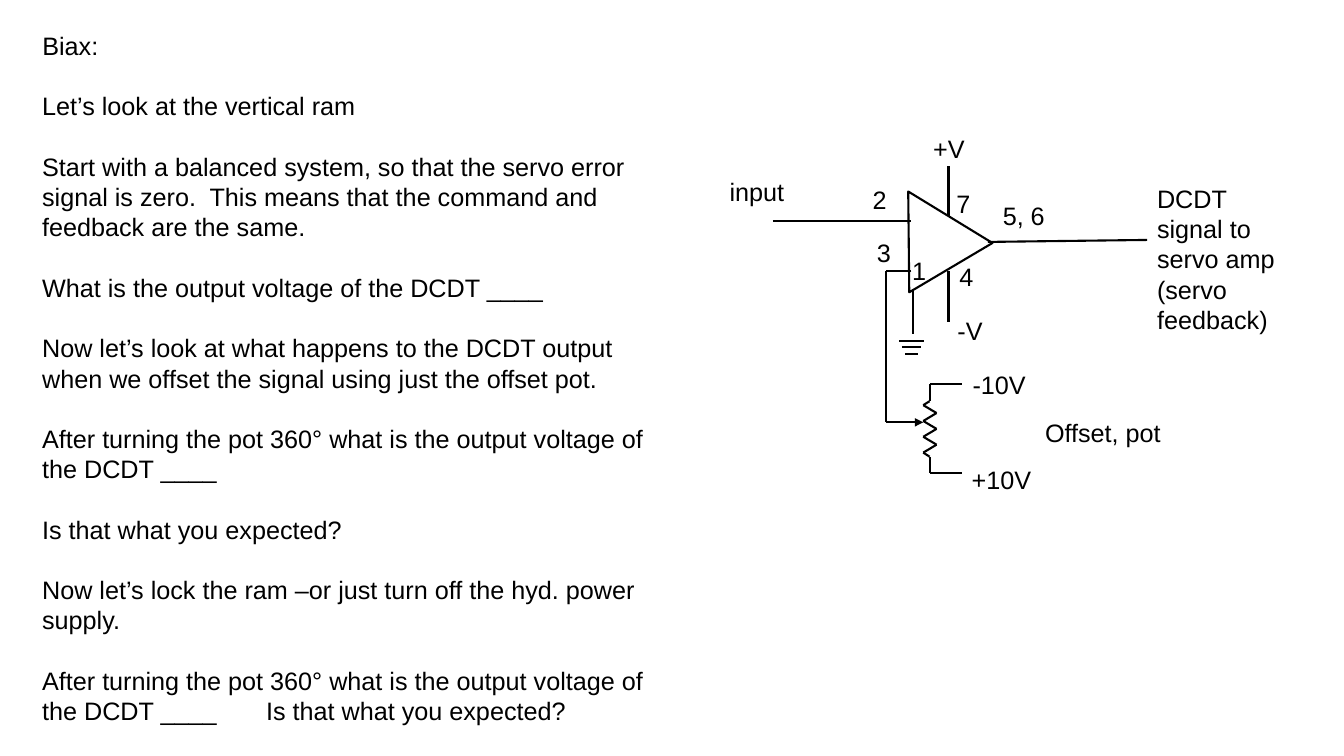
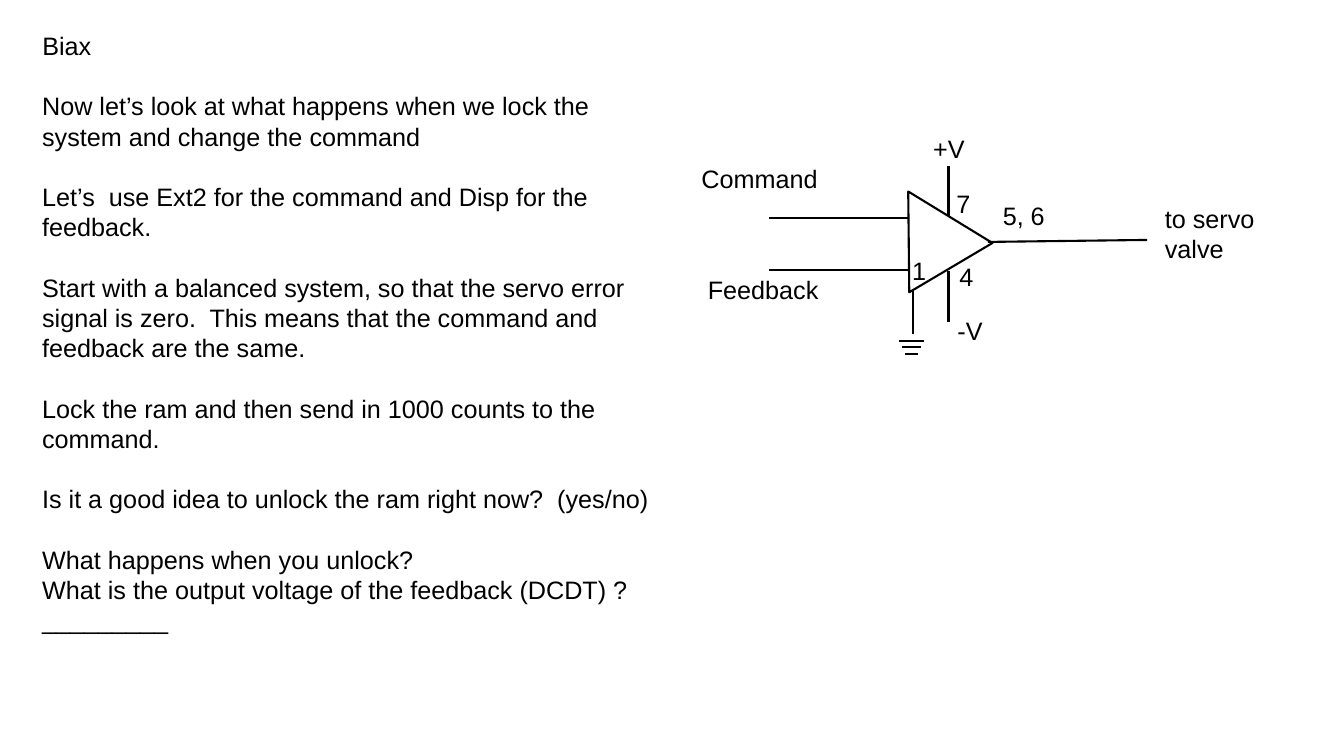
from itertools import pairwise

from lxml.etree import SubElement
from pptx import Presentation
from pptx.dml.color import RGBColor
from pptx.enum.shapes import MSO_CONNECTOR as LINE, MSO_SHAPE as SHAPE
from pptx.enum.text import MSO_ANCHOR as ANCHOR, MSO_AUTO_SIZE as FIT, PP_ALIGN as ALIGN
from pptx.oxml.ns import qn
from pptx.util import Pt

INK, PAPER = "000000", "FFFFFF"
FONT, TEXT_SIZE, STROKE = "Arial", 18, 1.5
LINE_PITCH = 21.6
NOTES_BOX = (23, 18, 450)  # left, top, width

BALANCED = ("Start with a balanced system, so that the servo error signal is zero.  "
            "This means that the command and feedback are the same.")
AFTER_TURN = "After turning the pot 360° what is the output voltage of the DCDT ____"
EXPECTED = "Is that what you expected?"

# Each inner list is a group of paragraphs; groups stand one line apart
OFFSET_STEPS = [
    ["Let’s look at the vertical ram"],
    [BALANCED],
    ["What is the output voltage of the DCDT ____"],
    ["Now let’s look at what happens to the DCDT output when we offset the signal "
     "using just the offset pot."],
    [AFTER_TURN],
    [EXPECTED],
    ["Now let’s lock the ram –or just turn off the hyd. power supply."],
    [f"{AFTER_TURN}\t{EXPECTED}"],
]
COMMAND_STEPS = [
    ["Now let’s look at what happens when we lock the system and change the command"],
    ["Let’s  use Ext2 for the command and Disp for the feedback."],
    [BALANCED],
    ["Lock the ram and then send in 1000 counts to the command."],
    ["Is it a good idea to unlock the ram right now?  (yes/no)"],
    ["What happens when you unlock?",
     "What is the output voltage of the feedback (DCDT) ? _________"],
]


def color(hex_code):
    return RGBColor.from_string(hex_code)


def write(paragraph, text):
    run = paragraph.add_run()
    run.text = text
    run.font.name, run.font.size = FONT, Pt(TEXT_SIZE)
    run.font.color.rgb = color(INK)


def label(slide, x, y, width, *lines, height=27):
    frame = slide.shapes.add_textbox(Pt(x), Pt(y), Pt(width), Pt(height)).text_frame
    frame.word_wrap = True
    for i, line in enumerate(lines):
        write(frame.add_paragraph() if i else frame.paragraphs[0], line)
    return frame


def wire(slide, *points, arrow=False):
    """Draw straight segments through the points; the last may end in an arrowhead."""
    for (x1, y1), (x2, y2) in pairwise(points):
        segment = slide.shapes.add_connector(LINE.STRAIGHT, Pt(x1), Pt(y1), Pt(x2), Pt(y2))
        segment.line.color.rgb, segment.line.width = color(INK), Pt(STROKE)
        SubElement(segment._element.spPr, qn("a:effectLst"))
    if arrow:
        SubElement(segment.line._get_or_add_ln(), qn("a:tailEnd"), type="triangle")


def notes(slide, box, heading, groups):
    left, top, width = box
    # Heading
    title = slide.shapes.title
    title.left, title.top, title.width, title.height = Pt(left), Pt(top), Pt(width), Pt(29)
    frame = title.text_frame
    frame.auto_size, frame.vertical_anchor = FIT.NONE, ANCHOR.TOP
    frame.paragraphs[0].alignment = ALIGN.LEFT
    write(frame.paragraphs[0], heading)

    # Steps
    lines = [line for group in groups for line in group]
    steps = label(slide, left, top + 2 * LINE_PITCH, width, *lines, height=470)
    starts = {group[0] for group in groups[1:]}
    for paragraph, line in zip(steps.paragraphs, lines):
        if line in starts:
            paragraph.space_before = Pt(LINE_PITCH)
        if "\t" in line:
            stops = SubElement(paragraph._p.get_or_add_pPr(), qn("a:tabLst"))
            SubElement(stops, qn("a:tab"), pos=str(Pt(160)), algn="l")


def amplifier(slide, left, top):
    # Supply leads, ground lead and output
    supply, ground = left + 37.5, left + 12.3
    wire(slide, (supply, top + 28.8), (supply, top + 65.5))
    wire(slide, (supply, top + 103.7), (supply, top + 139.7))

    # Amplifier body
    body = slide.shapes.add_shape(SHAPE.ISOSCELES_TRIANGLE, Pt(left + 3), Pt(top + 52.6),
                                  Pt(72), Pt(59.8))
    body.rotation, body.adjustments[0] = 89.4, 0.52
    body.shadow.inherit = False
    body.fill.solid()
    body.fill.fore_color.rgb = color(PAPER)
    body.line.color.rgb, body.line.width = color(INK), Pt(STROKE)

    wire(slide, (left + 65.6, top + 82.8), (left + 179.4, top + 81.4))
    wire(slide, (ground, top + 116.6), (ground, top + 148.3))

    # Ground symbol
    for i, half in enumerate((9, 7, 4.4)):
        y = top + 153.4 + 4.6 * i
        wire(slide, (left + 11.2 - half, y), (left + 11.2 + half, y))

    # Pin and supply labels
    for x, y, width, text in ((19.5, 1.4, 51, "+V"), (36.8, 131.8, 36, "-V"),
                              (36, 41, 40, "7"), (38.2, 93, 31, "4"),
                              (69.2, 49.7, 61, "5, 6"), (4.4, 88.6, 22, "1")):
        label(slide, left + x, top + y, width, text)


def offset_pot(slide, left, top):
    # Wire from pin 3 to the wiper
    wire(slide, (left + 18, top + 1.7), (left, top + 1.7), (left, top + 109.7),
         (left + 26.5, top + 109.7), arrow=True)

    # Resistor between the two supply arms
    near, middle, far, arm = (left + x for x in (26.5, 31, 36, 54))
    first, step = top + 97.4, 5.65
    zigzag = [(far if i % 2 else near, first + step * i) for i in range(7)]
    wire(slide, (arm, top + 82.3), (middle, top + 82.3), (middle, top + 94.6), *zigzag,
         (middle, top + 134.2), (middle, top + 145.7), (arm, top + 145.7))

    label(slide, left + 54.6, top + 67.9, 66, "-10V")
    label(slide, left + 54, top + 136.3, 66, "+10V")
    label(slide, left + 106.4, top + 102.5, 130, "Offset, pot")


def offset_slide(slide):
    notes(slide, NOTES_BOX, "Biax:", OFFSET_STEPS)
    amplifier(slide, 640, 90)
    offset_pot(slide, 633, 192)
    # Input and output signals
    wire(slide, (552, 157.7), (651, 157.7))
    label(slide, 514, 122.4, 60, "input")
    label(slide, 616.3, 128.2, 36, "2")
    label(slide, 619.2, 165.6, 36, "3")
    label(slide, 819.4, 127.4, 108, "DCDT signal to servo amp", "(servo feedback)", height=117)


def command_slide(slide):
    notes(slide, NOTES_BOX, "Biax", COMMAND_STEPS)
    amplifier(slide, 640, 90)
    # Input and output signals
    for y in (155.5, 193):
        wire(slide, (549.4, y), (648.7, y))
    label(slide, 494, 113, 105, "Command")
    label(slide, 498.5, 192.2, 105, "Feedback")
    label(slide, 825, 141.8, 108, "to servo valve", height=51)


def main():
    deck = Presentation()
    deck.slide_width, deck.slide_height = Pt(960), Pt(540)
    title_only = deck.slide_layouts[5]
    for build in (offset_slide, command_slide):
        build(deck.slides.add_slide(title_only))
    deck.save("out.pptx")


if __name__ == "__main__":
    main()
